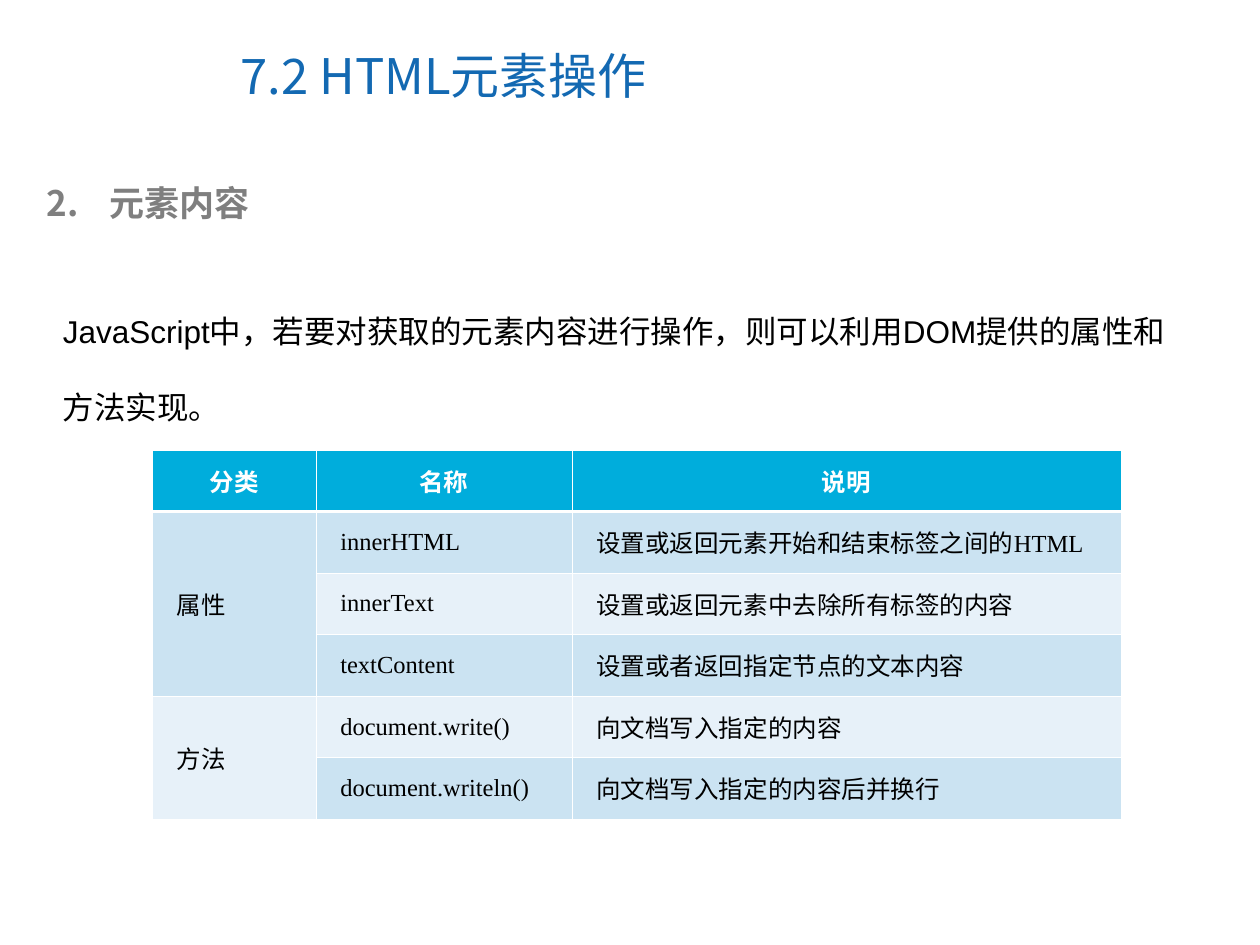
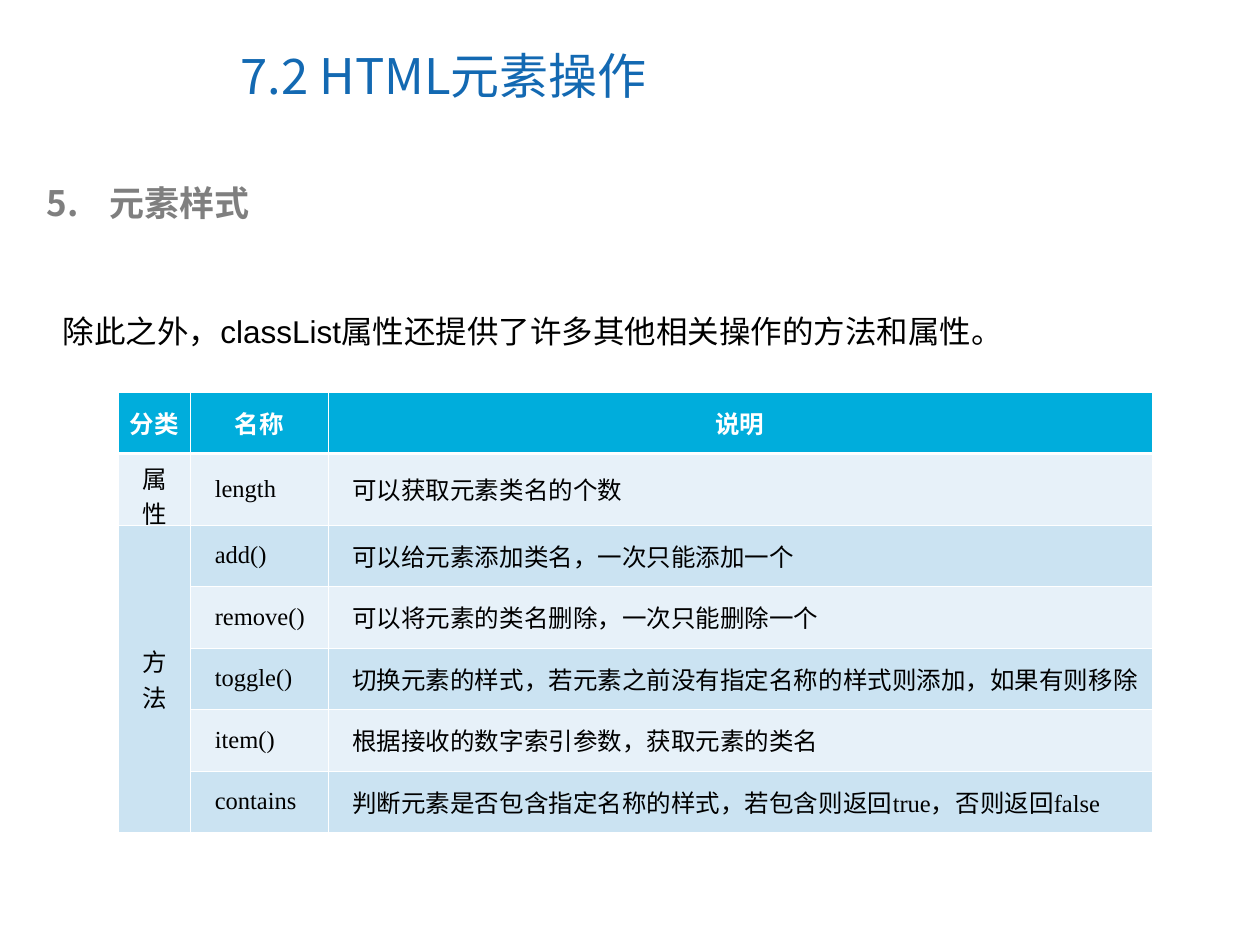
from lxml.etree import SubElement
from pptx import Presentation
from pptx.dml.color import RGBColor
from pptx.enum.text import MSO_ANCHOR as Anchor, MSO_AUTO_SIZE as AutoSize, PP_ALIGN as Align
from pptx.oxml.ns import qn
from pptx.util import Cm, Pt

CJK = "Noto Sans CJK SC"
GREY = "7F7F7F"
WHITE = "FFFFFF"
HEADER_FILL = "00ADDC"
BANDS = ("CBE3F2", "E7F1F9")
ROW_HEIGHT = 1.24
THIN, THICK = 0.45, 1.47

TITLE = "7.2 HTML元素操作"
TITLE_FORMAT = {"size": Pt(28), "name": CJK, "color": "1369B2"}
HEADING_FORMAT = {"size": Pt(20), "name": CJK, "bold": True, "color": GREY}
BODY_FORMAT = {"size": Pt(18), "name": "Arial", "color": "000000"}
HEADER_FORMAT = {"size": Pt(14), "name": "Arial", "bold": True, "color": WHITE}
CELL_FORMAT = {"size": Pt(14), "name": "Times New Roman", "bold": False, "color": "000000"}

COLUMNS = ("分类", "名称", "说明")
CONTENT_GROUPS = {
    "属性": [
        ("innerHTML", "设置或返回元素开始和结束标签之间的HTML"),
        ("innerText", "设置或返回元素中去除所有标签的内容"),
        ("textContent", "设置或者返回指定节点的文本内容"),
    ],
    "方法": [
        ("document.write()", "向文档写入指定的内容"),
        ("document.writeln()", "向文档写入指定的内容后并换行"),
    ],
}
CLASS_LIST_GROUPS = {
    "属性": [("length", "可以获取元素类名的个数")],
    "方法": [
        ("add()", "可以给元素添加类名，一次只能添加一个"),
        ("remove()", "可以将元素的类名删除，一次只能删除一个"),
        ("toggle()", "切换元素的样式，若元素之前没有指定名称的样式则添加，如果有则移除"),
        ("item()", "根据接收的数字索引参数，获取元素的类名"),
        ("contains", "判断元素是否包含指定名称的样式，若包含则返回true，否则返回false"),
    ],
}


def rgb(value):
    """Turn a hex string into a colour."""
    return RGBColor.from_string(value)


def write(p, text, formats):
    """Add a formatted run to a paragraph."""
    r = p.add_run()
    r.text = text
    for key, value in formats.items():
        if key == "color":
            r.font.color.rgb = rgb(value)
        else:
            setattr(r.font, key, value)
    SubElement(r.font._element, qn("a:ea"), typeface=CJK)


def add_text(s, box, text, formats, anchor=Anchor.TOP, auto_size=AutoSize.SHAPE_TO_FIT_TEXT):
    """Add a wrapping text box and return its paragraph."""
    tf = s.shapes.add_textbox(*map(Cm, box)).text_frame
    settings = {"word_wrap": True, "auto_size": auto_size, "vertical_anchor": anchor}
    for key, value in settings.items():
        setattr(tf, key, value)
    p = tf.paragraphs[0]
    write(p, text, formats)
    return p


def number_paragraph(p, start):
    """Give a paragraph a hanging automatic number."""
    pPr = p._p.get_or_add_pPr()
    pPr.set("marL", str(Cm(1.27)))
    pPr.set("indent", str(-Cm(1.27)))
    SubElement(SubElement(pPr, qn("a:buClr")), qn("a:srgbClr"), val=GREY)
    SubElement(pPr, qn("a:buFont"), typeface=CJK)
    SubElement(pPr, qn("a:buAutoNum"), type="arabicPeriod", startAt=str(start))


def add_borders(cell, row):
    """Draw white cell borders, thicker below the header."""
    tcPr = cell._tc.get_or_add_tcPr()
    widths = {"L": THIN, "R": THIN, "T": THICK if row == 1 else THIN,
              "B": THICK if row == 0 else THIN}
    for i, (side, width) in enumerate(widths.items()):
        ln = SubElement(tcPr, qn(f"a:ln{side}"), w=str(Pt(width)))
        SubElement(SubElement(ln, qn("a:solidFill")), qn("a:srgbClr"), val=WHITE)
        tcPr.insert(i, ln)


def fill_cell(cell, row, text, fill):
    """Style one cell and write its text."""
    cell.fill.solid()
    cell.fill.fore_color.rgb = rgb(fill)
    add_borders(cell, row)
    cell.vertical_anchor = Anchor.MIDDLE
    cell.margin_left = cell.margin_right = Cm(0.19)
    p = cell.text_frame.paragraphs[0]
    p.alignment = Align.JUSTIFY if row else Align.CENTER
    if row:
        p._p.get_or_add_pPr().set("marL", str(Cm(0.3)))
    if text:
        write(p, text, CELL_FORMAT if row else HEADER_FORMAT)


def add_grouped_table(s, left, top, widths, groups, bands):
    """Add a table whose first column merges each group."""
    rows = [COLUMNS]
    spans = []
    for category, members in groups.items():
        spans.append((len(rows), len(rows) + len(members) - 1))
        for i, member in enumerate(members):
            rows.append(("" if i else category, *member))
    frame = s.shapes.add_table(len(rows), len(widths), Cm(left), Cm(top),
                               Cm(sum(widths)), Cm(ROW_HEIGHT * len(rows)))
    table = frame.table
    table.horz_banding = False
    for column, width in zip(table.columns, widths):
        column.width = Cm(width)
    for i, texts in enumerate(rows):
        table.rows[i].height = Cm(ROW_HEIGHT)
        fill = bands[(i - 1) % 2] if i else HEADER_FILL
        for j, text in enumerate(texts):
            fill_cell(table.cell(i, j), i, text, fill)
    for first, last in spans:
        if last > first:
            table.cell(first, 0).merge(table.cell(last, 0))


def add_topic_slide(prs, number, heading, body, body_height):
    """Add a slide with the title, numbered heading and body text."""
    s = prs.slides.add_slide(prs.slide_layouts[6])
    add_text(s, (4.6, 0.43, 13.11, 2.16), TITLE, TITLE_FORMAT, Anchor.MIDDLE, AutoSize.NONE)
    number_paragraph(add_text(s, (0.69, 3.53, 23.42, 1.12), heading, HEADING_FORMAT), number)
    add_text(s, (1.02, 5.41, 23.34, body_height), body, BODY_FORMAT).line_spacing = 2.0
    return s


def main():
    """Build and save the slides."""
    prs = Presentation()
    prs.slide_width, prs.slide_height = Cm(25.4), Cm(19.05)
    s = add_topic_slide(prs, 2, "元素内容",
                        "JavaScript中，若要对获取的元素内容进行操作，则可以利用DOM提供的属性和方法实现。", 3.3)
    add_grouped_table(s, 3.07, 9.07, (3.3, 5.16, 11.07), CONTENT_GROUPS, BANDS)
    s = add_topic_slide(prs, 5, "元素样式",
                        "除此之外，classList属性还提供了许多其他相关操作的方法和属性。", 1.78)
    add_grouped_table(s, 2.39, 7.9, (1.45, 2.77, 16.61), CLASS_LIST_GROUPS, BANDS[::-1])
    prs.save("out.pptx")


if __name__ == "__main__":
    main()
